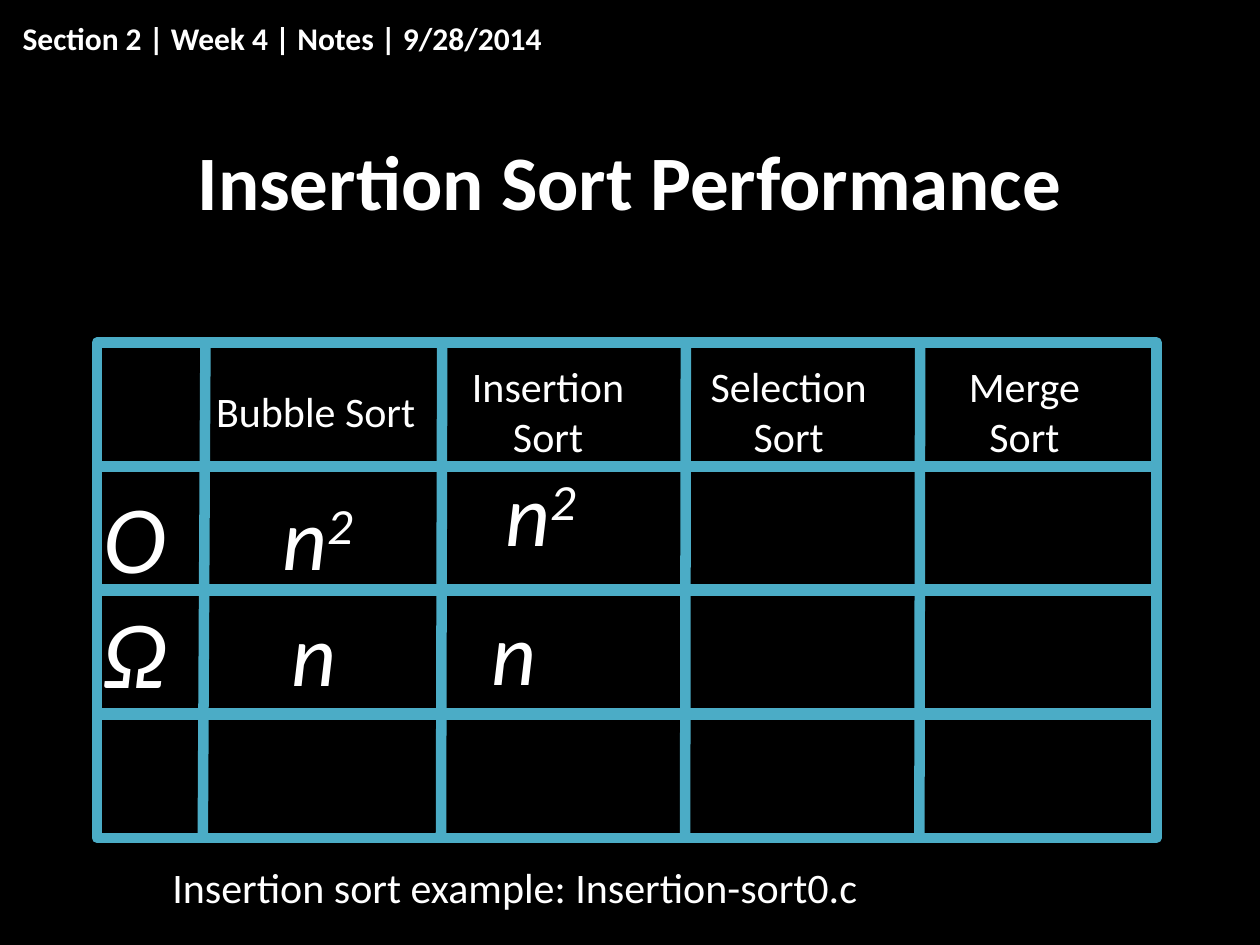
from dataclasses import dataclass

from lxml import etree
from pptx import Presentation
from pptx.dml.color import RGBColor
from pptx.enum.shapes import MSO_CONNECTOR, MSO_SHAPE
from pptx.enum.text import MSO_ANCHOR, PP_ALIGN
from pptx.oxml.ns import qn
from pptx.slide import Slide
from pptx.util import Pt

RECTANGLE = MSO_SHAPE.RECTANGLE
STRAIGHT = MSO_CONNECTOR.STRAIGHT
LEFT, CENTER = PP_ALIGN.LEFT, PP_ALIGN.CENTER
TOP, MIDDLE = MSO_ANCHOR.TOP, MSO_ANCHOR.MIDDLE

BLACK, WHITE, TEAL = "000000", "FFFFFF", "4BACC6"
FONT = "Calibri"
BORDER = 6

GRID_LEFT, GRID_TOP, GRID_WIDTH = 55.4, 195.8, 605.5
ROW_COUNT, ROW_STEP, ROW_HEIGHT = 4, 70.6, 71.2
CELL_HEIGHT = 115.2
HEADER_TOP = 177.1


@dataclass(frozen=True)
class Divider:
    top_x: float
    top: float
    bottom_x: float
    bottom: float


@dataclass(frozen=True)
class Header:
    text: str
    left: float
    width: float


@dataclass(frozen=True)
class Entry:
    text: str
    left: float
    top: float
    width: float
    size: float = 50
    superscript: str = ""


DIVIDERS = [
    Divider(117.4, 195.8, 115.9, 479.5),
    Divider(252.7, 196.6, 252, 477.4),
    Divider(391.9, 196.6, 391.5, 477.4),
    Divider(525.8, 196.6, 525.4, 477.4),
]
HEADERS = [
    Header("Bubble Sort", 114.5, 131.8),
    Header("Insertion Sort", 255.6, 115.2),
    Header("Selection Sort", 385.2, 131),
    Header("Merge Sort", 524.2, 122.4),
]
ENTRIES = [
    Entry("O", 51.8, 248.4, 97.2, size=55),
    Entry("Ω", 51.8, 313.9, 97.2, size=55),
    Entry("n", 154.1, 248.4, 157.7, superscript="2"),
    Entry("n", 159.8, 314.6, 67),
    Entry("n", 281.5, 234.7, 157.7, superscript="2"),
    Entry("n", 273.6, 313.9, 157.7),
]


def color(hex_value: str) -> RGBColor:
    return RGBColor.from_string(hex_value)


def add_text(slide: Slide, text: str, *, left: float, top: float, width: float,
             height: float, size: float, bold: bool = False, italic: bool = False,
             align: PP_ALIGN = LEFT, anchor: MSO_ANCHOR = MIDDLE,
             vertical_inset: float = 3.6, indent: float = 0,
             superscript: str = "") -> None:
    box = slide.shapes.add_textbox(Pt(left), Pt(top), Pt(width), Pt(height))
    frame = box.text_frame
    frame.word_wrap = True
    frame.vertical_anchor = anchor
    frame.margin_left = frame.margin_right = Pt(7.2)
    frame.margin_top = frame.margin_bottom = Pt(vertical_inset)
    paragraph = frame.paragraphs[0]
    paragraph.alignment = align
    if indent:
        paragraph.level = 1
        properties = paragraph._p.get_or_add_pPr()
        properties.set("marL", str(Pt(indent)))
        properties.set("indent", "0")
    for part in filter(None, (text, superscript)):
        run = paragraph.add_run()
        run.text = part
        font = run.font
        font.name, font.size = FONT, Pt(size)
        font.bold, font.italic = bold, italic
        font.color.rgb = color(WHITE)
    if superscript:
        run._r.get_or_add_rPr().set("baseline", "30000")


def add_row(slide: Slide, index: int) -> None:
    shape = slide.shapes.add_shape(
        RECTANGLE, Pt(GRID_LEFT), Pt(GRID_TOP + index * ROW_STEP),
        Pt(GRID_WIDTH), Pt(ROW_HEIGHT))
    shape.shadow.inherit = False
    shape.fill.background()
    shape.line.color.rgb = color(TEAL)
    shape.line.width = Pt(BORDER)
    etree.SubElement(shape.line._get_or_add_ln(), qn("a:round"))


def add_divider(slide: Slide, divider: Divider) -> None:
    connector = slide.shapes.add_connector(
        STRAIGHT, Pt(divider.top_x), Pt(divider.top),
        Pt(divider.bottom_x), Pt(divider.bottom))
    connector.line.color.rgb = color(TEAL)
    connector.line.width = Pt(BORDER)
    etree.SubElement(connector._element.spPr, qn("a:effectLst"))


def main() -> None:
    presentation = Presentation()
    presentation.slide_width, presentation.slide_height = Pt(720), Pt(540)
    slide = presentation.slides.add_slide(presentation.slide_layouts[6])
    background = slide.background.fill
    background.solid()
    background.fore_color.rgb = color(BLACK)

    for index in range(ROW_COUNT):
        add_row(slide, index)
    for divider in DIVIDERS:
        add_divider(slide, divider)
    for header in HEADERS:
        add_text(slide, header.text, left=header.left, top=HEADER_TOP,
                 width=header.width, height=CELL_HEIGHT, size=24,
                 align=CENTER, vertical_inset=7.2)
    for entry in ENTRIES:
        add_text(slide, entry.text, left=entry.left, top=entry.top,
                 width=entry.width, height=CELL_HEIGHT, size=entry.size,
                 italic=True, vertical_inset=7.2, superscript=entry.superscript)

    add_text(slide, "Insertion Sort Performance", left=36, top=57.6, width=648,
             height=90, size=44, bold=True, align=CENTER)
    add_text(slide, "Section 2 | Week 4 | Notes | 9/28/2014", left=5.8, top=0,
             width=351.4, height=43.2, size=18, bold=True)
    add_text(slide, "Insertion sort example: Insertion-sort0.c", left=55.4,
             top=488.9, width=573.1, height=36, size=24, anchor=TOP, indent=36)
    presentation.save("out.pptx")


if __name__ == "__main__":
    main()
